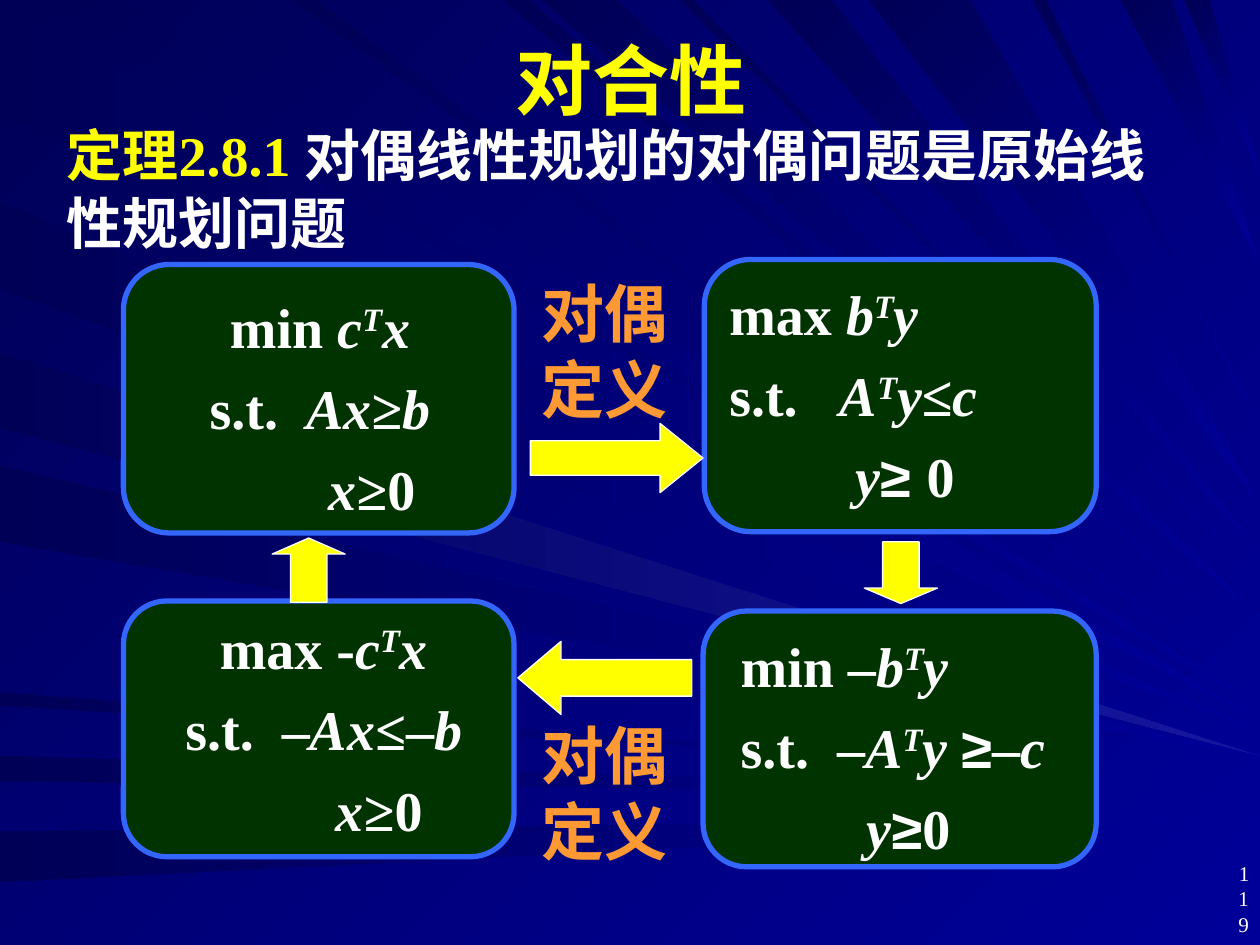
from lxml.etree import SubElement
from pptx import Presentation
from pptx.dml.color import RGBColor
from pptx.enum.shapes import MSO_SHAPE
from pptx.enum.text import MSO_ANCHOR, PP_ALIGN
from pptx.oxml.ns import qn
from pptx.util import Inches, Pt

COLUMNS, ROWS = 10, 7.5  # one-inch grid
COLORS = {
    "yellow": "FFFF00", "white": "FFFFFF", "orange": "FF9933",
    "panel": "003300", "edge": "3366FF",
    "blue": "000099", "dark": "000057", "glow": "1616A1",
}
SERIF, SANS = "Times New Roman", "Arial"

# Each ray: start and width on its edge, row where it meets the right edge
TOP_RAYS = [
    (0.3, 0.7, 5.6), (4, 0.2, 5.2), (4.3, 0.6, 4.9), (5.4, 0.1, 4.6),
    (6.1, 0.5, 4.4), (2.3, 0.2, 5.5), (6.9, 0.8, 4), (8.2, 0.1, 3.4),
    (8.9, 0.4, 2.1), (9.4, 0.2, 1.4),
]
LEFT_RAYS = [
    (0, 0.9, 5.7), (6, 0.2, 6.3), (6.6, 0.4, 6.5), (1.6, 0.7, 5.8),
    (3.7, 0.6, 6), (5.5, 0.1, 6.2),
]

# Formula marks: i italic, u raised, s sans serif
PRIMAL = [
    [("min ", ""), ("c", "i"), ("T", "iu"), ("x", "i")],
    [("s.t.  ", ""), ("Ax", "i"), ("≥", ""), ("b", "i")],
    [("\t    ", ""), ("x", "i"), ("≥0", "")]]
DUAL = [
    [("max ", ""), ("b", "i"), ("T", "iu"), ("y", "i")],
    [("s.t.   ", ""), ("A", "i"), ("T", "iu"), ("y", "i"), ("≤", ""), ("c", "i")],
    [("\t", ""), ("y", "i"), ("≥ ", "s"), ("0", "")]]
DUAL_AS_MIN = [
    [("min –", ""), ("b", "i"), ("T", "iu"), ("y", "i")],
    [("s.t.  –", ""), ("A", "i"), ("T", "iu"), ("y ", "i"), ("≥", "s"), ("–", ""), ("c", "i")],
    [("\t", ""), ("y", "i"), ("≥", "s"), ("0", "")]]
PRIMAL_AS_MAX = [
    [("max -", ""), ("c", "i"), ("T", "iu"), ("x", "i")],
    [("s.t.  –", ""), ("Ax", "i"), ("≤–", ""), ("b", "i")],
    [("\t\t", ""), ("x", "i"), ("≥0", "")]]

# Panel place, text place, centred or not, lines
PROBLEMS = [
    ((0.98, 4.77, 3.1, 2.03), (1.06, 4.82, 3.02, 2.34), True, PRIMAL_AS_MAX),
    ((5.58, 4.85, 3.12, 2.03), (5.78, 4.96, 2.9, 1.93), False, DUAL_AS_MIN),
    ((5.59, 2.06, 3.11, 2.16), (5.69, 2.17, 2.9, 1.93), False, DUAL),
    ((0.98, 2.1, 3.1, 2.13), (1.21, 2.27, 2.66, 1.93), True, PRIMAL),
]
ARROWS = [
    (MSO_SHAPE.DOWN_ARROW, (6.86, 4.3, 0.58, 0.49), 0.25),
    (MSO_SHAPE.UP_ARROW, (2.16, 4.27, 0.58, 0.51), 0.25),
    (MSO_SHAPE.RIGHT_ARROW, (4.21, 3.36, 1.37, 0.55), 0.62),
    (MSO_SHAPE.LEFT_ARROW, (4.11, 5.09, 1.38, 0.58), 0.59),
]


def color(name):
    return RGBColor.from_string(COLORS[name])


def grid(place):
    return [Inches(length) for length in place]


class Painter:
    def __init__(self, page):
        self.page, self.shapes = page, page.shapes

    def shade(self, fill, first, last, angle):
        """Fill with a gradient; the angle runs clockwise."""
        fill.gradient()
        fill.gradient_angle = 360 - angle
        for stop, name in zip(fill.gradient_stops, (first, last)):
            stop.color.rgb = color(name)

    def ray(self, corners, first, angle):
        start, *others = [grid(corner) for corner in corners]
        builder = self.shapes.build_freeform(*start)
        builder.add_line_segments(others, close=True)
        shape = builder.convert_to_shape()
        shape.shadow.inherit = False
        shape.line.fill.background()
        self.shade(shape.fill, first, "dark", angle)

    def top_ray(self, start, width, end):
        self.ray([(start, 0), (start + width, 0), (COLUMNS, end)], "blue", 225)

    def left_ray(self, start, width, end, first="blue"):
        self.ray([(0, start), (0, start + width), (COLUMNS, end)], first, 180)

    def shape(self, kind, place, fill, line, width, adjustments):
        shape = self.shapes.add_shape(kind, *grid(place))
        shape.shadow.inherit = False
        shape.fill.solid()
        shape.fill.fore_color.rgb = color(fill)
        shape.line.color.rgb = color(line)
        shape.line.width = Pt(width)
        for index, value in enumerate(adjustments):
            shape.adjustments[index] = value

    def span(self, para, text, size, ink, marks="", bold=True):
        span = para.add_run()
        span.text = text
        font = span.font
        font.name = SANS if "s" in marks else SERIF
        font.size, font.bold, font.italic = Pt(size), bold, "i" in marks
        font.color.rgb = color(ink)
        if "u" in marks:
            span._r.get_or_add_rPr().set("baseline", "30000")

    def text_box(self, place, anchor=MSO_ANCHOR.TOP):
        frame = self.shapes.add_textbox(*grid(place)).text_frame
        frame.word_wrap, frame.vertical_anchor = True, anchor
        return frame

    def title(self, text, place):
        box = self.shapes.title
        box.element.getparent().append(box.element)  # above the rays
        box.left, box.top, box.width, box.height = grid(place)
        box.text_frame.vertical_anchor = MSO_ANCHOR.MIDDLE
        para = box.text_frame.paragraphs[0]
        para.alignment = PP_ALIGN.CENTER
        self.span(para, text, 44, "yellow")

    def formula(self, place, centred, lines):
        frame = self.text_box(place)
        for number, line in enumerate(lines):
            para = frame.add_paragraph() if number else frame.paragraphs[0]
            properties = para._p.get_or_add_pPr()
            tabs = SubElement(properties, qn("a:tabLst"))
            for inch in range(8):
                SubElement(tabs, qn("a:tab"), pos=str(Inches(inch)), algn="l")
            if centred:
                properties.set("marL", str(Inches(0.38)))
                properties.set("indent", str(Inches(-0.38)))
                para.alignment = PP_ALIGN.CENTER
            if number:
                para.space_before = Pt(8)
            for text, marks in line:
                self.span(para, text, 32, "white", marks)


def main():
    deck = Presentation()
    deck.slide_width, deck.slide_height = Inches(COLUMNS), Inches(ROWS)
    page = deck.slides.add_slide(deck.slide_layouts[5])
    painter = Painter(page)
    painter.shade(page.background.fill, "blue", "dark", 225)
    for ray in LEFT_RAYS:
        painter.left_ray(*ray)
    for ray in TOP_RAYS:
        painter.top_ray(*ray)
    painter.left_ray(2.8, 0.6, 6, "glow")
    painter.title("对合性", (0.51, 0, 9, 1.25))
    theorem = painter.text_box((0.43, 0.91, 9, 1.21)).paragraphs[0]
    painter.span(theorem, "定理2.8.1 ", 32, "yellow")
    painter.span(theorem, "对偶线性规划的对偶问题是原始线性规划问题", 32, "white")
    for panel, place, centred, lines in PROBLEMS:
        painter.shape(MSO_SHAPE.ROUNDED_RECTANGLE, panel, "panel", "edge", 3, [0.17])
        painter.formula(place, centred, lines)
    for kind, place, head in ARROWS:
        painter.shape(kind, place, "yellow", "white", 0.75, [0.5, head])
    for top in (2.13, 5.64):
        label = painter.text_box((4.13, top, 1.33, 1.3)).paragraphs[0]
        label.alignment = PP_ALIGN.CENTER
        painter.span(label, "对偶定义", 36, "orange")
    number = painter.text_box((9.49, 6.98, 0.52, 0.5), MSO_ANCHOR.BOTTOM).paragraphs[0]
    number.alignment = PP_ALIGN.RIGHT
    number._p.get_or_add_pPr().set("marL", str(Inches(0.24)))
    painter.span(number, "119", 12, "white", bold=False)
    deck.save("out.pptx")


if __name__ == "__main__":
    main()
